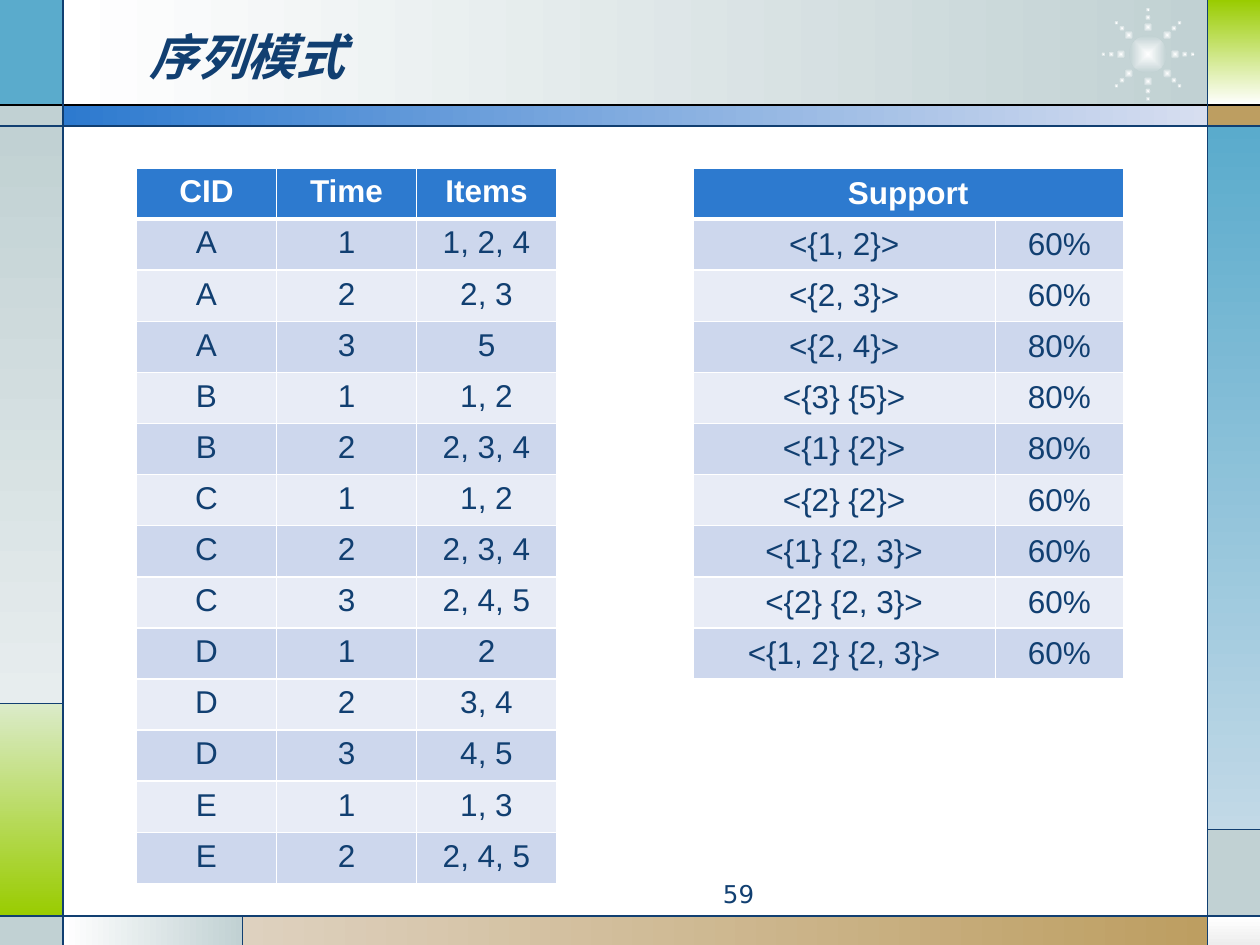
from math import cos, radians, sin

from pptx import Presentation
from pptx.dml.color import RGBColor
from pptx.enum.shapes import MSO_CONNECTOR, MSO_SHAPE
from pptx.enum.text import MSO_ANCHOR, PP_ALIGN
from pptx.oxml.ns import qn
from pptx.oxml.xmlchemy import OxmlElement
from pptx.util import Pt

NAVY, BLUE, WHITE = "113F71", "2D7ACF", "FFFFFF"
MIST, SKY, LIME, TAN = "C1D1D3", "5AABCC", "99CC00", "BD9E61"
BANDS = ["CDD7ED", "E8ECF6"]

TITLE = "序列模式"
PAGE_NUMBER = "59"
EVENTS = [
    ("CID", "Time", "Items"),
    ("A", "1", "1, 2, 4"), ("A", "2", "2, 3"), ("A", "3", "5"),
    ("B", "1", "1, 2"), ("B", "2", "2, 3, 4"),
    ("C", "1", "1, 2"), ("C", "2", "2, 3, 4"), ("C", "3", "2, 4, 5"),
    ("D", "1", "2"), ("D", "2", "3, 4"), ("D", "3", "4, 5"),
    ("E", "1", "1, 3"), ("E", "2", "2, 4, 5"),
]
SUPPORT = [
    ("Support", ""),
    ("<{1, 2}>", "60%"), ("<{2, 3}>", "60%"), ("<{2, 4}>", "80%"),
    ("<{3} {5}>", "80%"), ("<{1} {2}>", "80%"), ("<{2} {2}>", "60%"),
    ("<{1} {2, 3}>", "60%"), ("<{2} {2, 3}>", "60%"),
    ("<{1, 2} {2, 3}>", "60%"),
]

WIDTH, HEIGHT = 720, 540
LEFT, RIGHT, BANNER, STRIP, FLOOR = 36, 690, 60, 72, 523.5
LIME_TOP, MIST_TOP, TAN_LEFT = 402, 474, 138.5
ROW_HEIGHT = 29.2

PANELS = [
    (LEFT, 0, RIGHT, BANNER, [WHITE, MIST], 0),
    (0, 0, LEFT, BANNER, [SKY], 0),
    (0, BANNER, LEFT, STRIP, [MIST], 0),
    (0, STRIP, LEFT, LIME_TOP, [MIST, "E7EDEE"], 270),
    (0, LIME_TOP, LEFT, FLOOR, ["DBEBC9", LIME], 270),
    (0, FLOOR, LEFT, HEIGHT, [MIST], 0),
    (LEFT, FLOOR, TAN_LEFT, HEIGHT, [WHITE, MIST], 0),
    (TAN_LEFT, FLOOR, RIGHT, HEIGHT, ["DED1BF", TAN], 0),
    (RIGHT, FLOOR, WIDTH, HEIGHT, [WHITE, "EDEDED"], 270),
    (RIGHT, MIST_TOP, WIDTH, FLOOR, [MIST], 0),
    (RIGHT, STRIP, WIDTH, MIST_TOP, [SKY, "C2D9E7"], 270),
    (RIGHT, BANNER, WIDTH, STRIP, [TAN], 0),
    (RIGHT, 0, WIDTH, BANNER, [LIME, WHITE], 270),
    (LEFT, BANNER, RIGHT, STRIP, [BLUE, "D7DEF0"], 0),
]
RULES = [
    (0, BANNER, WIDTH, BANNER, "000000"),
    (0, STRIP, WIDTH, STRIP, NAVY),
    (0, FLOOR, WIDTH, FLOOR, NAVY),
    (LEFT, 0, LEFT, HEIGHT, NAVY),
    (RIGHT, 0, RIGHT, HEIGHT, NAVY),
    (0, LIME_TOP, LEFT, LIME_TOP, NAVY),
    (TAN_LEFT, FLOOR, TAN_LEFT, HEIGHT, NAVY),
    (RIGHT, MIST_TOP, WIDTH, MIST_TOP, NAVY),
]
STAR_X, STAR_Y, STAR_CORE = 656, 31, 21.6
STAR_DOTS = [(15.5, 5.4), (21, 3.5), (25.5, 2.6)]


def color(value):
    return RGBColor.from_string(value)


def write(frame, text, size=18, font="Arial", ink=NAVY, bold=False,
          italic=False, align=PP_ALIGN.CENTER):
    para = frame.paragraphs[0]
    para.alignment = align
    span = para.add_run()
    span.text = text
    span.font.size = Pt(size)
    span.font.name = font
    span.font.bold = bold
    span.font.italic = italic
    span.font.color.rgb = color(ink)


def paint(shape, colors, angle=0):
    shape.shadow.inherit = False
    shape.line.fill.background()
    if len(colors) == 1:
        shape.fill.solid()
        shape.fill.fore_color.rgb = color(colors[0])
        return
    shape.fill.gradient()
    shape.fill.gradient_angle = angle
    for stop, value in zip(shape.fill.gradient_stops, colors):
        stop.color.rgb = color(value)


def add_panel(page, left, top, right, bottom, colors, angle):
    panel = page.shapes.add_shape(
        MSO_SHAPE.RECTANGLE, Pt(left), Pt(top), Pt(right - left), Pt(bottom - top))
    paint(panel, colors, angle)


def add_glow(page, x, y, size):
    glow = page.shapes.add_shape(
        MSO_SHAPE.OVAL, Pt(x - size / 2), Pt(y - size / 2), Pt(size), Pt(size))
    paint(glow, [WHITE, MIST])
    gradient = glow._element.spPr.find(qn("a:gradFill"))
    gradient.remove(gradient.find(qn("a:lin")))
    radial = OxmlElement("a:path")
    radial.set("path", "shape")
    center = OxmlElement("a:fillToRect")
    for side in "ltrb":
        center.set(side, "50000")
    radial.append(center)
    gradient.append(radial)


def add_star(page):
    add_glow(page, STAR_X, STAR_Y, STAR_CORE)
    for arm in range(8):
        angle = radians(45 * arm)
        for radius, size in STAR_DOTS:
            add_glow(page, STAR_X + radius * cos(angle),
                     STAR_Y + radius * sin(angle), size)


def add_rule(page, x1, y1, x2, y2, ink):
    rule = page.shapes.add_connector(
        MSO_CONNECTOR.STRAIGHT, Pt(x1), Pt(y1), Pt(x2), Pt(y2))
    rule.line.color.rgb = color(ink)
    rule.line.width = Pt(0.75)
    rule._element.spPr.append(OxmlElement("a:effectLst"))


def add_borders(cell, row):
    properties = cell._tc.get_or_add_tcPr()
    widths = {"L": 1, "R": 1, "T": 3 if row == 1 else 1, "B": 3 if row == 0 else 1}
    for position, (side, width) in enumerate(widths.items()):
        border = OxmlElement(f"a:ln{side}")
        border.set("w", str(Pt(width)))
        fill = OxmlElement("a:solidFill")
        ink = OxmlElement("a:srgbClr")
        ink.set("val", WHITE)
        fill.append(ink)
        border.append(fill)
        properties.insert(position, border)


def add_grid(page, left, top, widths, rows, anchor, merge_header=False):
    table = page.shapes.add_table(
        len(rows), len(widths), Pt(left), Pt(top),
        Pt(sum(widths)), Pt(ROW_HEIGHT * len(rows))).table
    for column, width in zip(table.columns, widths):
        column.width = Pt(width)
    if merge_header:
        table.cell(0, 0).merge(table.cell(0, len(widths) - 1))
    for r, values in enumerate(rows):
        table.rows[r].height = Pt(ROW_HEIGHT)
        header = r == 0
        for c, text in enumerate(values):
            cell = table.cell(r, c)
            cell.vertical_anchor = anchor
            cell.fill.solid()
            cell.fill.fore_color.rgb = color(BLUE if header else BANDS[(r - 1) % 2])
            add_borders(cell, r)
            if text:
                write(cell.text_frame, text, bold=header, ink=WHITE if header else NAVY)


def main():
    deck = Presentation()
    deck.slide_width, deck.slide_height = Pt(WIDTH), Pt(HEIGHT)
    page = deck.slides.add_slide(deck.slide_layouts[5])

    for panel in PANELS:
        add_panel(page, *panel)
    add_star(page)
    for rule in RULES:
        add_rule(page, *rule)

    title = page.shapes.title
    page.shapes._spTree.append(title._element)
    title.left, title.top, title.width, title.height = Pt(78), Pt(9.5), Pt(528), Pt(45)
    title.text_frame.vertical_anchor = MSO_ANCHOR.MIDDLE
    write(title.text_frame, TITLE, size=28, font="DejaVu Sans", bold=True,
          italic=True, align=PP_ALIGN.LEFT)

    box = page.shapes.add_textbox(Pt(270), Pt(499), Pt(168), Pt(19.5))
    box.text_frame.word_wrap = True
    write(box.text_frame, PAGE_NUMBER, size=14, font="DejaVu Sans", align=PP_ALIGN.RIGHT)

    add_grid(page, 78, 96, [80] * 3, EVENTS, MSO_ANCHOR.TOP)
    add_grid(page, 396, 96, [172.8, 73.2], SUPPORT, MSO_ANCHOR.MIDDLE, merge_header=True)
    deck.save("out.pptx")


if __name__ == "__main__":
    main()
